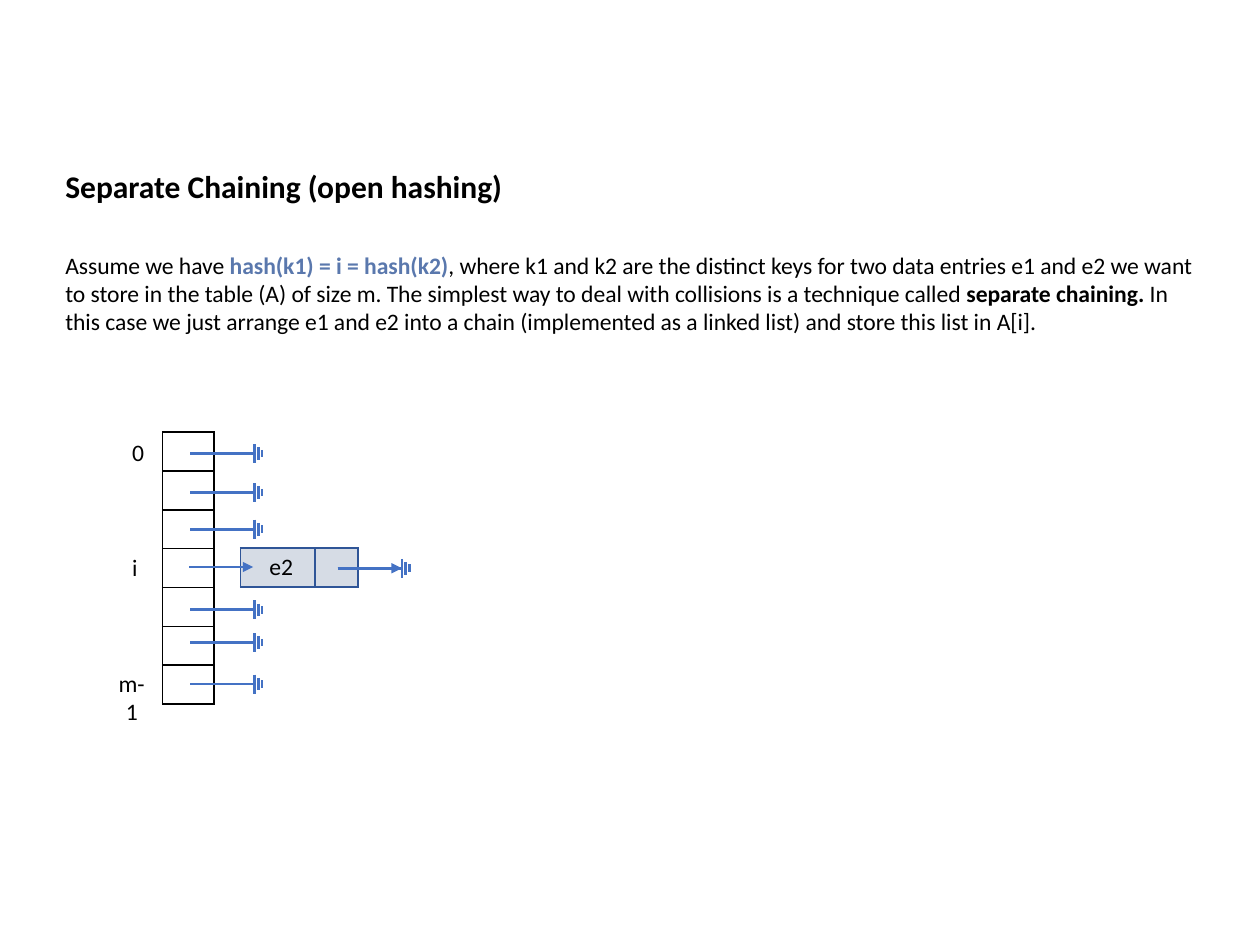
from dataclasses import dataclass

import pptx
import pptx.dml.color
import pptx.enum.shapes
import pptx.enum.text
import pptx.oxml
import pptx.oxml.ns
import pptx.util
from lxml import etree

Inches = pptx.util.Inches
RGBColor = pptx.dml.color.RGBColor
PP_ALIGN = pptx.enum.text.PP_ALIGN

BLACK = RGBColor(0x00, 0x00, 0x00)
BLUE = RGBColor(0x44, 0x72, 0xC4)
FORMULA_BLUE = RGBColor(0x5A, 0x78, 0xAD)
NODE_LINE = RGBColor(0x2F, 0x55, 0x97)
NODE_FILL = RGBColor(0xD6, 0xDC, 0xE5)

FONT = "Calibri"
LINK_LENGTH = 0.51
BAR_GAP = 0.03
BAR_HEIGHTS = (0.15, 0.1, 0.06)


@dataclass(frozen=True)
class Run:
    text: str
    bold: bool = False
    color: RGBColor = BLACK


@dataclass(frozen=True)
class Label:
    text: str
    left: float
    top: float
    width: float
    height: float = 0.33
    align: PP_ALIGN = PP_ALIGN.LEFT


@dataclass(frozen=True)
class Link:
    left: float
    y: float


LABELS = (
    Label("m- 1", 0.79, 5.26, 0.51, 0.56, PP_ALIGN.CENTER),
    Label("i", 0.95, 4.34, 0.35),
    Label("0", 0.95, 3.43, 0.35),
    Label("e2", 2.04, 4.33, 1.63),
)
NODE_LINK = Link(2.68, 4.51)
SLOT_LINK = Link(1.5, 4.5)
NULL_LINKS = [Link(1.51, y) for y in (3.6, 3.91, 4.2, 4.84, 5.1, 5.43)] + [NODE_LINK]

BODY = (
    Run("Assume we have "),
    Run("hash(k1) = i = hash(k2)", bold=True, color=FORMULA_BLUE),
    Run(", where k1 and k2 are the distinct keys for two data entries e1 and e2 "
        "we want to store in the table (A) of size m. The simplest way to deal "
        "with collisions is a technique called "),
    Run("separate chaining. ", bold=True),
    Run("In this case we just arrange e1 and e2 into a chain (implemented as a "
        "linked list) and store this list in A[i]."),
)


def add_text(s, runs, left: float, top: float, width: float, height: float, *,
             size: float = 13.5, align: PP_ALIGN = PP_ALIGN.LEFT):
    sp = s.shapes.add_textbox(Inches(left), Inches(top), Inches(width), Inches(height))
    tf = sp.text_frame
    tf.word_wrap = True
    p = tf.paragraphs[0]
    p.alignment = align
    for run in runs:
        r = p.add_run()
        r.text = run.text
        r.font.name = FONT
        r.font.size = pptx.util.Pt(size)
        r.font.bold = run.bold
        r.font.color.rgb = run.color
    return sp


def add_line(shapes, x1: float, y1: float, x2: float, y2: float, *, arrow: bool = False):
    line = shapes.add_connector(pptx.enum.shapes.MSO_CONNECTOR.STRAIGHT,
                                Inches(x1), Inches(y1), Inches(x2), Inches(y2))
    line.line.color.rgb = BLUE
    line.line.width = pptx.util.Pt(1.5)
    if arrow:
        etree.SubElement(line.line._get_or_add_ln(), pptx.oxml.ns.qn("a:tailEnd"),
                         type="triangle")
    etree.SubElement(line._element.spPr, pptx.oxml.ns.qn("a:effectLst"))
    return line


def add_null_link(s, link: Link) -> None:
    """Draw a link that ends in the three shrinking bars of a null pointer."""
    shapes = s.shapes.add_group_shape().shapes
    end = link.left + LINK_LENGTH
    add_line(shapes, link.left, link.y, end, link.y)
    for i, height in enumerate(BAR_HEIGHTS):
        x = end + i * BAR_GAP
        add_line(shapes, x, link.y - height / 2, x, link.y + height / 2)


def add_arrow(s, link: Link) -> None:
    add_line(s.shapes, link.left, link.y, link.left + LINK_LENGTH, link.y, arrow=True)


def set_borders(cell, color: RGBColor) -> None:
    tc_pr = cell._tc.get_or_add_tcPr()
    for side in ("lnL", "lnR", "lnT", "lnB"):
        tc_pr.append(pptx.oxml.parse_xml(
            f'<a:{side} {pptx.oxml.ns.nsdecls("a")} w="12700"><a:solidFill>'
            f'<a:srgbClr val="{color}"/></a:solidFill></a:{side}>'))


def add_grid(s, left: float, top: float, widths, rows: int, height: float, *,
             line: RGBColor, fill: RGBColor | None = None):
    table = s.shapes.add_table(rows, len(widths), Inches(left), Inches(top),
                               Inches(sum(widths)), Inches(height)).table
    table.first_row = table.horz_banding = False
    for column, width in zip(table.columns, widths):
        column.width = Inches(width)
    for cell in table.iter_cells():
        cell.margin_top = cell.margin_bottom = 0
        set_borders(cell, line)
        if fill is None:
            cell.fill.background()
        else:
            cell.fill.solid()
            cell.fill.fore_color.rgb = fill
    return table


def main() -> None:
    prs = pptx.Presentation()
    prs.slide_width, prs.slide_height = Inches(10), Inches(7.5)
    s = prs.slides.add_slide(prs.slide_layouts[6])

    add_text(s, [Run("Separate Chaining (open hashing)", bold=True)],
             0.42, 1.28, 3.91, 0.4, size=18)
    add_text(s, BODY, 0.42, 1.94, 9.17, 1.01)

    add_grid(s, 1.29, 3.43, [0.41], 7, 2.16, line=BLACK)
    add_grid(s, 1.91, 4.35, [0.59, 0.34], 1, 0.31, line=NODE_LINE, fill=NODE_FILL)
    for label in LABELS:
        add_text(s, [Run(label.text)], label.left, label.top, label.width,
                 label.height, align=label.align)

    for link in NULL_LINKS:
        add_null_link(s, link)
    for link in (NODE_LINK, SLOT_LINK):
        add_arrow(s, link)

    prs.save("out.pptx")


if __name__ == "__main__":
    main()
